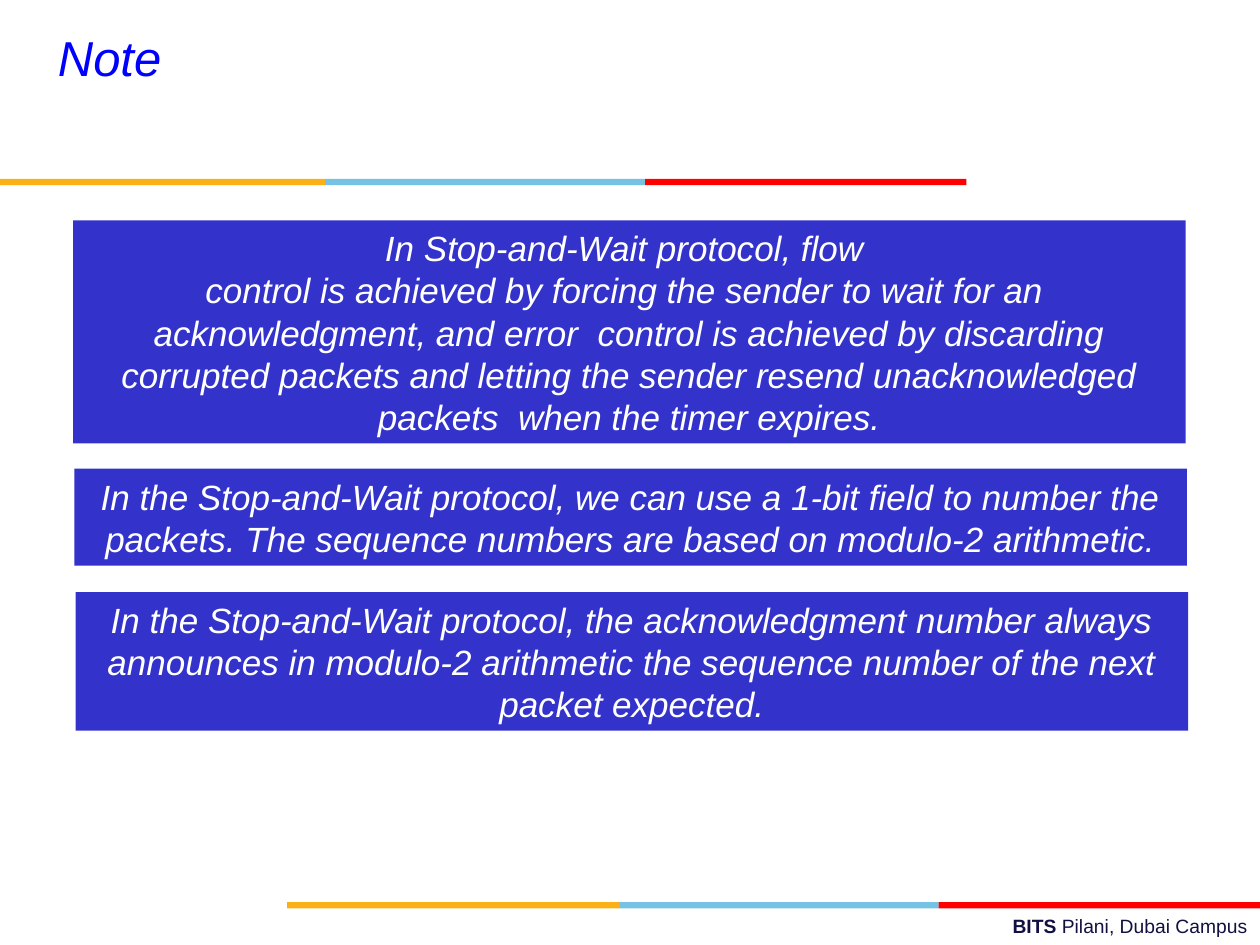
from pptx import Presentation
from pptx.dml.color import RGBColor
from pptx.enum.shapes import MSO_SHAPE
from pptx.enum.text import MSO_ANCHOR, PP_ALIGN
from pptx.util import Inches, Pt

RECTANGLE = MSO_SHAPE.RECTANGLE
TOP, MIDDLE = MSO_ANCHOR.TOP, MSO_ANCHOR.MIDDLE
LEFT, CENTER, RIGHT = PP_ALIGN.LEFT, PP_ALIGN.CENTER, PP_ALIGN.RIGHT

THEME = {
    "font": "Arial",
    "title": "0000FF", "note": "FFFFFF", "footer": "101141",
    "note_fill": "3333CC",
    "gold": "FCB017", "sky": "76C2E5", "red": "FF0000",
    "title_size": 28, "note_size": 20, "footer_size": 11,
}

TITLE = "Note"
FOOTER = [("BITS ", True), ("Pilani, Dubai Campus", False)]

# Each note: left, top, height, paragraphs
NOTE_WIDTH = 8.83
NOTES = [
    (0.58, 1.75, 1.77, [
        "In Stop-and-Wait protocol, flow ",
        "control is achieved by forcing the sender to wait for an  "
        "acknowledgment, and error  control is achieved by discarding "
        "corrupted packets and letting the sender resend unacknowledged "
        "packets  when the timer expires.",
    ]),
    (0.59, 3.72, 0.77, [
        "In the Stop-and-Wait protocol, we can use a 1-bit field to number the "
        "packets. The sequence numbers are based on modulo-2 arithmetic.",
    ]),
    (0.6, 4.7, 1.1, [
        "In the Stop-and-Wait protocol, the acknowledgment number always "
        "announces in modulo-2 arithmetic the sequence number of the next "
        "packet expected.",
    ]),
]

# Each stripe: top, edges of its segments from left to right
STRIPE_HEIGHT = 0.05
STRIPE_COLOURS = ("gold", "sky", "red")
STRIPES = [
    (7.16, (2.28, 4.92, 7.45, 10)),
    (1.42, (0, 2.58, 5.12, 7.67)),
]


def add_block(slide, left, top, width, height, fill):
    block = slide.shapes.add_shape(
        RECTANGLE, Inches(left), Inches(top), Inches(width), Inches(height))
    block.shadow.inherit = False
    block.fill.solid()
    block.fill.fore_color.rgb = RGBColor.from_string(THEME[fill])
    block.line.fill.background()
    return block


def write(shape, paragraphs, role, alignment, anchor=TOP, italic=True):
    """Fill a shape with paragraphs, each a list of (text, bold) runs."""
    frame = shape.text_frame
    frame.word_wrap = True
    frame.vertical_anchor = anchor
    frame.margin_left = frame.margin_right = Inches(0.1)
    frame.margin_top = frame.margin_bottom = Inches(0.05)
    for index, runs in enumerate(paragraphs):
        paragraph = frame.add_paragraph() if index else frame.paragraphs[0]
        paragraph.alignment = alignment
        paragraph.space_before = Pt(0)
        for text, bold in runs:
            run = paragraph.add_run()
            run.text = text
            run.font.name = THEME["font"]
            run.font.size = Pt(THEME[role + "_size"])
            run.font.color.rgb = RGBColor.from_string(THEME[role])
            run.font.bold = bold
            run.font.italic = italic


def main():
    presentation = Presentation()
    presentation.slide_width = Inches(10)
    presentation.slide_height = Inches(7.5)
    slide = presentation.slides.add_slide(presentation.slide_layouts[5])

    footer = slide.shapes.add_textbox(
        Inches(3.58), Inches(7.21), Inches(6.42), Inches(0.29))
    write(footer, [FOOTER], "footer", RIGHT, italic=False)

    for top, edges in STRIPES:
        for start, end, colour in zip(edges, edges[1:], STRIPE_COLOURS):
            add_block(slide, start, top, end - start, STRIPE_HEIGHT, colour)

    title = slide.shapes.title
    title.left, title.top = Inches(0.36), Inches(0.17)
    title.width, title.height = Inches(1.2), Inches(0.57)
    write(title, [[(TITLE, False)]], "title", LEFT)

    for left, top, height, texts in NOTES:
        note = add_block(slide, left, top, NOTE_WIDTH, height, "note_fill")
        write(note, [[(text, False)] for text in texts], "note", CENTER, MIDDLE)

    presentation.save("out.pptx")


if __name__ == "__main__":
    main()
